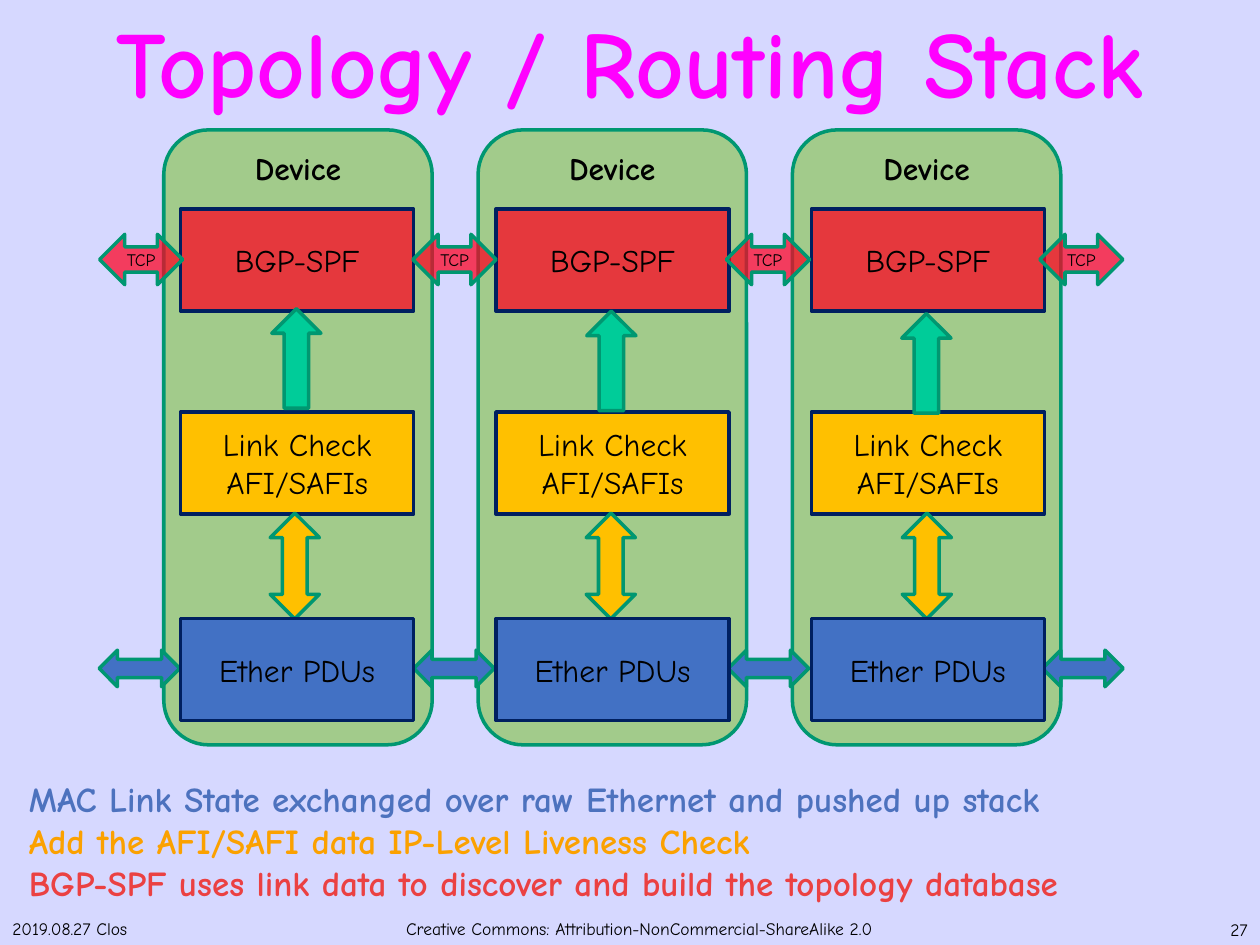
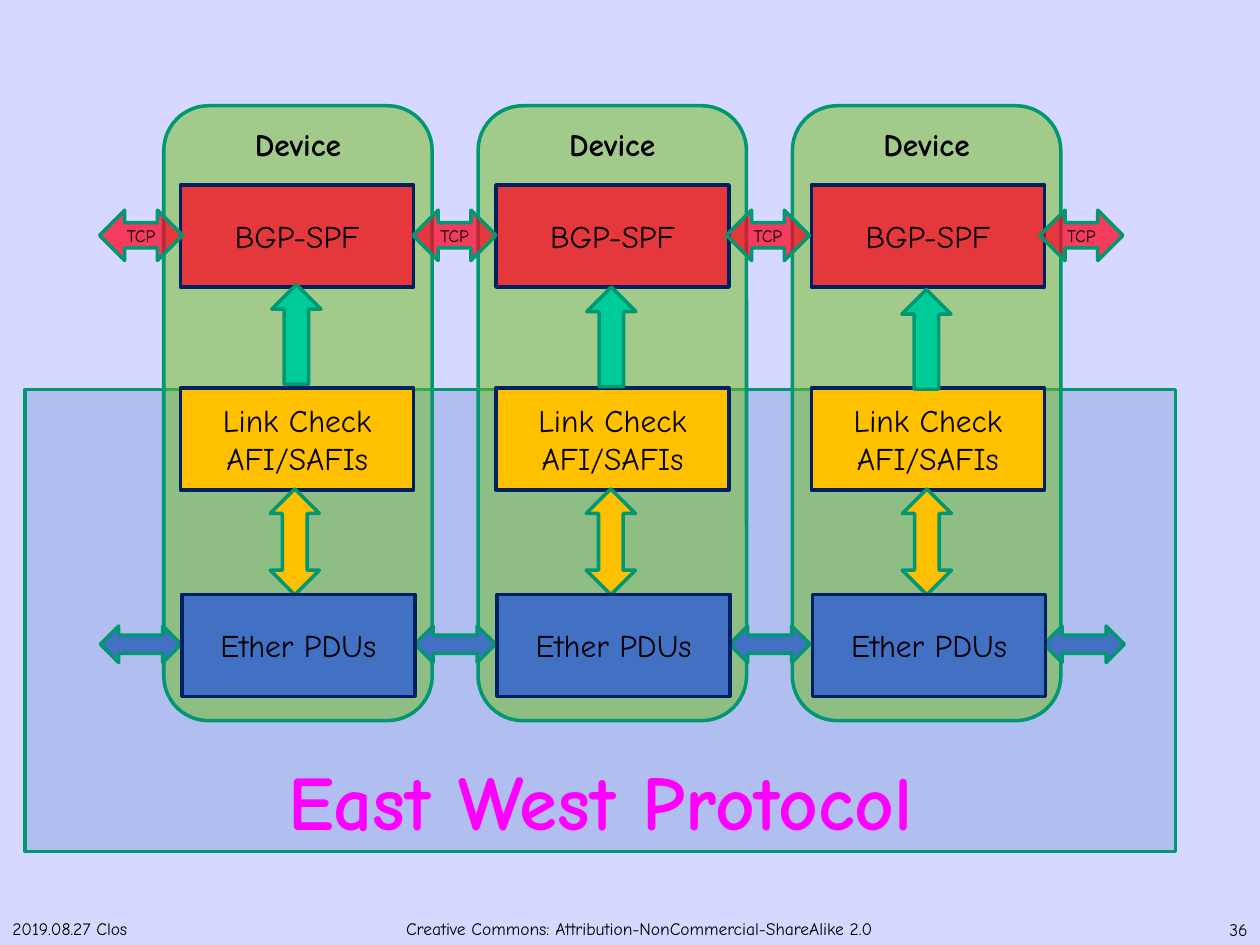
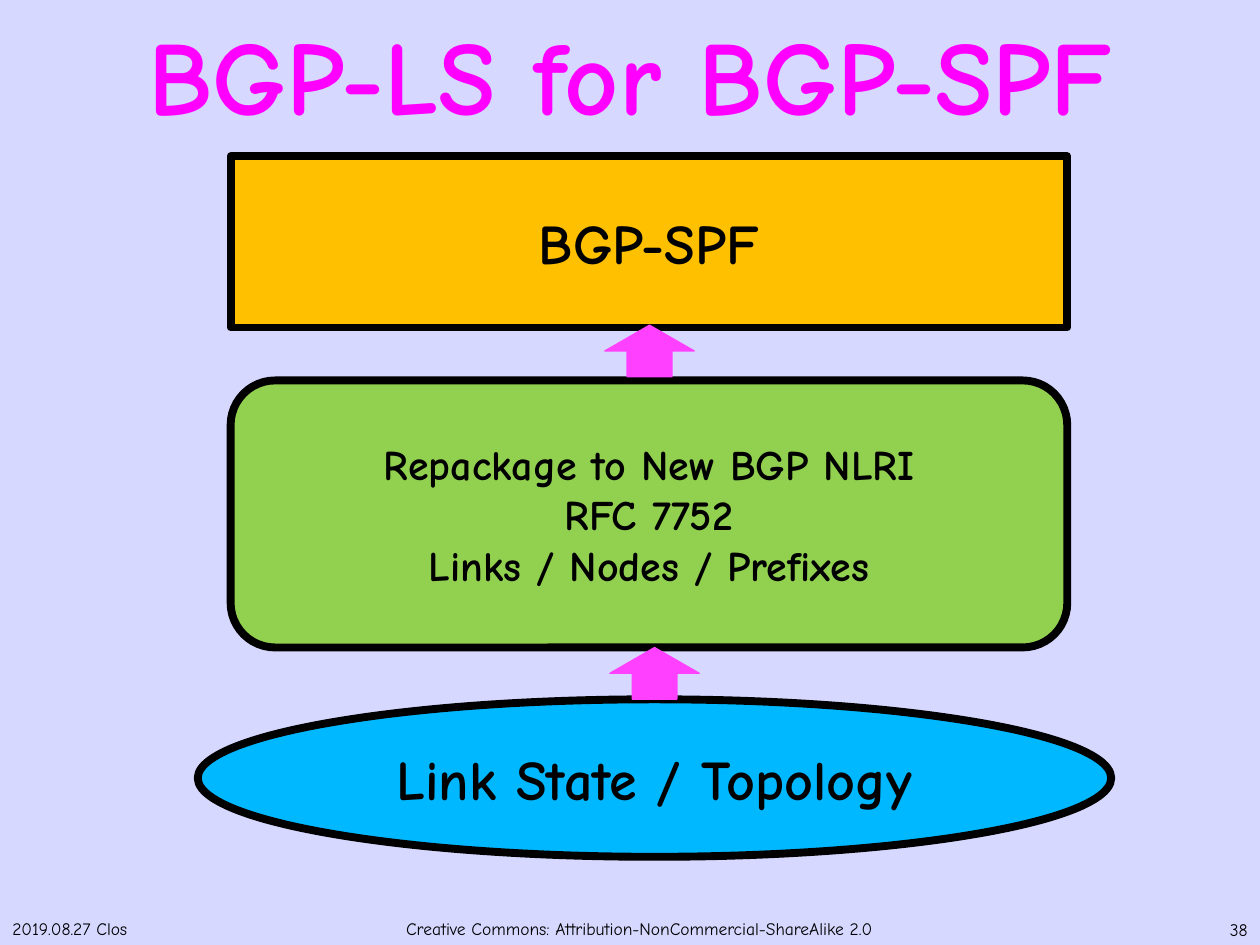
from dataclasses import dataclass, replace

from lxml import etree
from pptx import Presentation
from pptx.dml.color import RGBColor
from pptx.enum import shapes, text
from pptx.oxml.ns import qn
from pptx.slide import Slide
from pptx.util import Pt

FONT = "Comic Neue"
COLORS = {
    "background": "D6D8FF", "black": "000000", "title": "FF00FF",
    "device": "6FBF19", "teal": "009771", "navy": "002060",
    "ether": "4271C4", "link": "FFC000", "bgp": "FF0020", "push": "00CC99",
    "panel": "4472C4", "repackage": "92D050", "topology": "00B8FF", "flow": "FF40FF",
    "ether_text": "4D72BE", "link_text": "FBA100", "bgp_text": "EB4142",
}
KIND = shapes.MSO_SHAPE
ALIGN = text.PP_ALIGN
ANCHOR = text.MSO_ANCHOR


@dataclass(frozen=True)
class Label:
    lines: tuple[str, ...]
    size: float = 18
    colors: tuple[str, ...] = ("black",)
    bold: bool = False
    align: ALIGN = ALIGN.CENTER
    anchor: ANCHOR = ANCHOR.MIDDLE
    inset: tuple[float, float] = (7.2, 3.6)
    spacing: float | None = None


@dataclass(frozen=True)
class Box:
    x: float
    y: float
    w: float
    h: float
    label: Label | None = None
    kind: KIND | None = None
    fill: str = ""
    line: str = "teal"
    weight: float = 2
    opacity: int = 100


@dataclass(frozen=True)
class Row:
    first: Box
    count: int
    step: float
    drop: float = 0


def rgb(name: str) -> RGBColor:
    return RGBColor.from_string(COLORS[name])


def write(tf, label: Label) -> None:
    tf.word_wrap = True
    tf.vertical_anchor = label.anchor
    tf.margin_left = tf.margin_right = Pt(label.inset[0])
    tf.margin_top = tf.margin_bottom = Pt(label.inset[1])
    for i, line in enumerate(label.lines):
        p = tf.paragraphs[0] if i == 0 else tf.add_paragraph()
        p.alignment = label.align
        if label.spacing:
            p.line_spacing = label.spacing
        r = p.add_run()
        r.text = line
        r.font.name = FONT
        r.font.size = Pt(label.size)
        r.font.bold = label.bold
        r.font.color.rgb = rgb(label.colors[i % len(label.colors)])


def draw(s: Slide, box: Box) -> None:
    frame = [Pt(v) for v in (box.x, box.y, box.w, box.h)]
    if box.kind is None:
        sp = s.shapes.add_textbox(*frame)
    else:
        sp = s.shapes.add_shape(box.kind, *frame)
        sp.shadow.inherit = False
        sp.fill.solid()
        sp.fill.fore_color.rgb = rgb(box.fill)
        if box.opacity < 100:
            color = sp.fill._xPr.find(".//" + qn("a:srgbClr"))
            etree.SubElement(color, qn("a:alpha"), val=str(box.opacity * 1000))
        sp.line.color.rgb = rgb(box.line)
        sp.line.width = Pt(box.weight)
    if box.label:
        write(sp.text_frame, box.label)


def draw_row(s: Slide, row: Row, dx: float, dy: float) -> None:
    b = row.first
    for i in range(row.count):
        draw(s, replace(b, x=b.x + dx + i * row.step, y=b.y + dy + i * row.drop))


def layer(y: float, fill: str, *lines: str, opacity: int = 100) -> Row:
    box = Box(103.2, y, 133.2, 58.3, Label(lines), KIND.RECTANGLE, fill, "navy", opacity=opacity)
    return Row(box, 3, 180.2)


DEVICES = Row(Box(93.6, 74.2, 153.4, 351.4, Label(("Device",), bold=True, anchor=ANCHOR.TOP),
                  KIND.ROUNDED_RECTANGLE, "device", opacity=50), 3, 179.6)
STACK = [
    DEVICES,
    layer(235.4, "link", "Link Check", "AFI/SAFIs"),
    layer(119.5, "bgp", "BGP-SPF", opacity=72),
    Row(Box(56.9, 133.9, 47.5, 28.8, Label(("TCP",), 10, inset=(0, 0)),
            KIND.LEFT_RIGHT_ARROW, "bgp", opacity=72), 4, 179.1),
    Row(Box(155.3, 176.4, 28.1, 56.9, kind=KIND.UP_ARROW, fill="push"), 3, 180, 1.4),
    Row(Box(154.4, 293.2, 28.1, 60.5, kind=KIND.UP_DOWN_ARROW, fill="link"), 3, 180.6),
]
ETHER = [
    Row(Box(56.7, 371.5, 46.1, 20.9, kind=KIND.LEFT_RIGHT_ARROW, fill="ether"), 4, 179.7),
    layer(353.4, "ether", "Ether PDUs"),
]


def draw_stack(s: Slide, dy: float = 0, ether_dx: float = 0) -> None:
    for row in STACK:
        draw_row(s, row, 0, dy)
    for row in ETHER:
        draw_row(s, row, ether_dx, dy)


def add_slide(prs, number: int) -> Slide:
    s = prs.slides.add_slide(prs.slide_layouts[6])
    footers = (
        (0, 169.9, "2019.08.27 Clos", ALIGN.LEFT),
        (653.8, 66.2, str(number), ALIGN.RIGHT),
        (196.6, 337, "Creative Commons: Attribution-NonCommercial-ShareAlike 2.0", ALIGN.CENTER),
    )
    for x, w, words, align in footers:
        h = 19.4 if align == ALIGN.RIGHT else 18.7
        draw(s, Box(x, 521.3, w, h, Label((words,), 10, align=align, anchor=ANCHOR.BOTTOM)))
    return s


def add_title(s: Slide, words: str, size: float, height: float) -> None:
    label = Label((words,), size, ("title",), True, inset=(0, 0), spacing=1.16)
    draw(s, Box(0, 0, 720, height, label))


def routing_stack(prs) -> None:
    s = add_slide(prs, 27)
    add_title(s, "Topology / Routing Stack", 54, 59)
    draw_stack(s)
    draw(s, Box(9.4, 440.6, 679.7, 79.9, Label(
        ("MAC Link State exchanged over raw Ethernet and pushed up stack",
         "Add the AFI/SAFI data IP-Level Liveness Check",
         "BGP-SPF uses link data to discover and build the topology database"),
        20, ("ether_text", "link_text", "bgp_text"), True, ALIGN.LEFT, ANCHOR.TOP)))


def east_west(prs) -> None:
    s = add_slide(prs, 36)
    label = Label(("East West Protocol",), 44, ("title",), True, anchor=ANCHOR.BOTTOM)
    draw(s, Box(14.4, 222.5, 657.4, 264.2, label, KIND.RECTANGLE, "panel", opacity=25))
    draw_stack(s, -13.8, 0.7)


def bgp_ls(prs) -> None:
    s = add_slide(prs, 38)
    add_title(s, "BGP-LS for BGP-SPF", 60, 72)
    blocks = (
        (113, 399.6, 522, 90, KIND.OVAL, "topology", 32, ("Link State / Topology",)),
        (131.8, 217.4, 478.1, 152.6, KIND.ROUNDED_RECTANGLE, "repackage", 24,
         ("Repackage to New BGP NLRI", "RFC 7752", "Links / Nodes / Prefixes")),
        (131.8, 89.3, 478.1, 97.9, KIND.RECTANGLE, "link", 32, ("BGP-SPF",)),
    )
    for x, y, w, h, kind, fill, size, lines in blocks:
        draw(s, Box(x, y, w, h, Label(lines, size, bold=True), kind, fill, "black", 4.5))
    for x, y in ((348.5, 370), (345.6, 185.8)):
        draw(s, Box(x, y, 51.1, 29.5, None, KIND.UP_ARROW, "flow", "flow", 0.75))


def main() -> None:
    prs = Presentation()
    prs.slide_width, prs.slide_height = Pt(720), Pt(540)
    background = prs.slide_master.background.fill
    background.solid()
    background.fore_color.rgb = rgb("background")
    routing_stack(prs)
    east_west(prs)
    bgp_ls(prs)
    prs.save("out.pptx")


if __name__ == "__main__":
    main()
